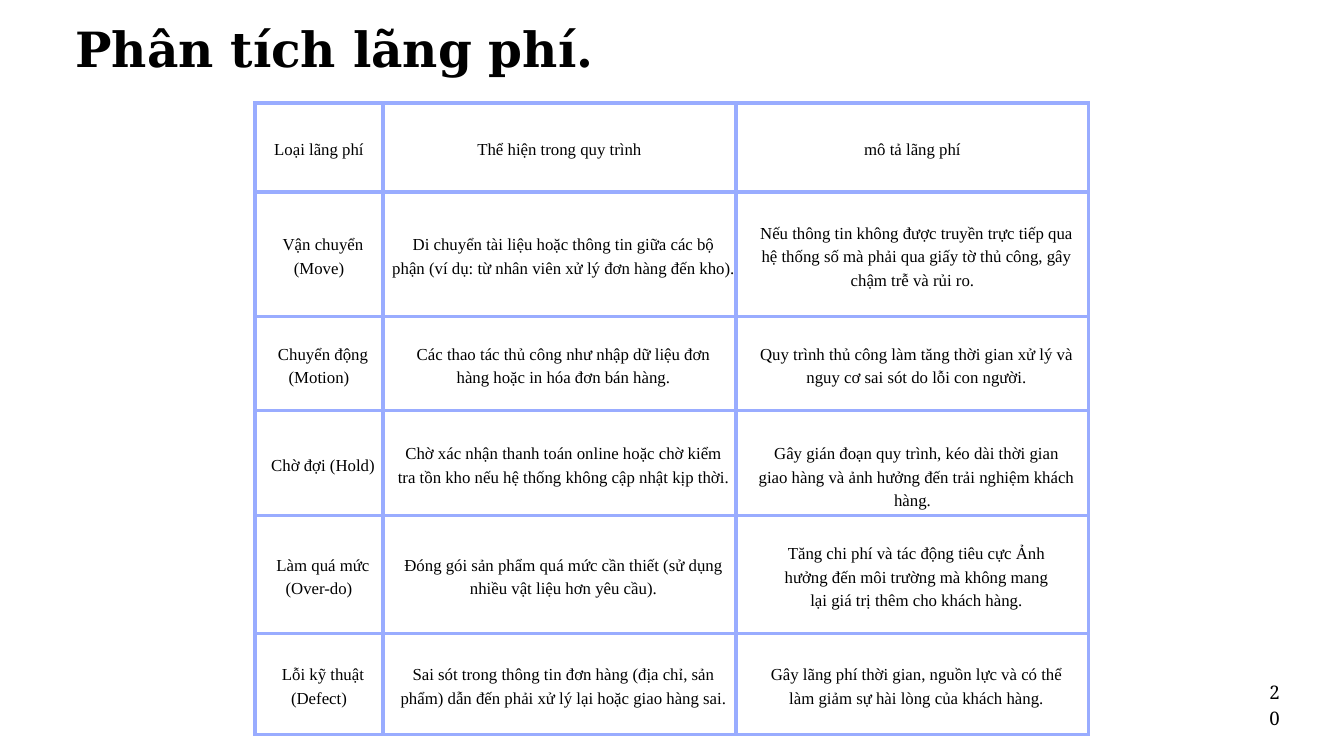
import dataclasses

import lxml.etree
import pptx
import pptx.dml.color
import pptx.enum.text
import pptx.oxml.ns
import pptx.util

EMU_PER_PX = 914400 / 67.2
COLUMN_WIDTHS = (128, 353, 353)
ROW_HEIGHTS = (89, 125, 94, 105, 118, 101)
LOWERED_CELL = (3, 2)

HEADERS = ("Loại lãng phí", "Thể hiện trong quy trình", "mô tả lãng phí")
WASTES = (
    (
        ("Vận chuyển (Move)",),
        ("Di chuyển tài liệu hoặc thông tin giữa các bộ",
         "phận (ví dụ: từ nhân viên xử lý đơn hàng đến kho)."),
        ("Nếu thông tin không được truyền trực tiếp qua",
         "hệ thống số mà phải qua giấy tờ thủ công, gây chậm trễ và rủi ro."),
    ),
    (
        ("Chuyển động (Motion)",),
        ("Các thao tác thủ công như nhập dữ liệu đơn",
         "hàng hoặc in hóa đơn bán hàng."),
        ("Quy trình thủ công làm tăng thời gian xử lý và",
         "nguy cơ sai sót do lỗi con người."),
    ),
    (
        ("Chờ đợi (Hold)",),
        ("Chờ xác nhận thanh toán online hoặc chờ kiểm",
         "tra tồn kho nếu hệ thống không cập nhật kịp thời."),
        ("Gây gián đoạn quy trình, kéo dài thời gian",
         "giao hàng và ảnh hưởng đến trải nghiệm khách hàng."),
    ),
    (
        ("Làm quá mức (Over-do)",),
        ("Đóng gói sản phẩm quá mức cần thiết (sử dụng",
         "nhiều vật liệu hơn yêu cầu)."),
        ("Tăng chi phí và tác động tiêu cực Ảnh",
         "hưởng đến môi trường mà không mang",
         "lại giá trị thêm cho khách hàng."),
    ),
    (
        ("Lỗi kỹ thuật (Defect)",),
        ("Sai sót trong thông tin đơn hàng (địa chỉ, sản",
         "phẩm) dẫn đến phải xử lý lại hoặc giao hàng sai."),
        ("Gây lãng phí thời gian, nguồn lực và có thể",
         "làm giảm sự hài lòng của khách hàng."),
    ),
)


@dataclasses.dataclass(frozen=True)
class TextStyle:
    """Font, size and line spacing of one kind of text."""

    font: str
    size: int
    leading: float
    bold: bool = False


@dataclasses.dataclass(frozen=True)
class Theme:
    """Colours and type styles of the slide."""

    ink: str = "000000"
    border: str = "99ACFF"
    border_width: float = 3.75
    title: TextStyle = TextStyle("DejaVu Serif", 52, 72.8, True)
    body: TextStyle = TextStyle("Times New Roman", 18, 25.2)
    number: TextStyle = TextStyle("Noto Serif", 20, 28)


THEME = Theme()


def px(length):
    """Turn a length in px into EMU."""
    return pptx.util.Emu(round(length * EMU_PER_PX))


def fill_paragraph(para, text, style, indent=0):
    """Write one centred run with an optional first-line indent."""
    para.alignment = pptx.enum.text.PP_ALIGN.CENTER
    para.line_spacing = pptx.util.Pt(style.leading)
    if indent:
        properties = para._p.get_or_add_pPr()
        properties.set("marL", "0")
        properties.set("indent", str(px(indent)))
    span = para.add_run()
    span.text = text
    span.font.name = style.font
    span.font.size = pptx.util.Pt(style.size)
    span.font.bold = style.bold
    span.font.color.rgb = pptx.dml.color.RGBColor.from_string(THEME.ink)


def clear_margins(holder):
    """Set all four text margins to zero."""
    holder.margin_left = holder.margin_right = 0
    holder.margin_top = holder.margin_bottom = 0


def add_text(page, left, top, width, height, text, style, wrap):
    """Add a one-paragraph text box that grows with its text."""
    box = page.shapes.add_textbox(px(left), px(top), px(width), px(height))
    frame = box.text_frame
    clear_margins(frame)
    frame.word_wrap = wrap
    frame.auto_size = pptx.enum.text.MSO_AUTO_SIZE.SHAPE_TO_FIT_TEXT
    fill_paragraph(frame.paragraphs[0], text, style)


def add_borders(cell):
    """Draw the four borders of a cell."""
    properties = cell._tc.get_or_add_tcPr()
    qn = pptx.oxml.ns.qn
    for position, side in enumerate(("lnL", "lnR", "lnT", "lnB")):
        width = str(pptx.util.Pt(THEME.border_width))
        line = lxml.etree.Element(qn(f"a:{side}"), w=width)
        fill = lxml.etree.SubElement(line, qn("a:solidFill"))
        lxml.etree.SubElement(fill, qn("a:srgbClr"), val=THEME.border)
        properties.insert(position, line)


def fill_cell(cell, lines, indent=0, drop=0):
    """Write the lines of a cell, lowered by an optional top margin."""
    clear_margins(cell)
    cell.margin_top = px(drop)
    cell.vertical_anchor = pptx.enum.text.MSO_ANCHOR.MIDDLE
    cell.fill.background()
    add_borders(cell)
    frame = cell.text_frame
    for index, line in enumerate(lines):
        para = frame.add_paragraph() if index else frame.paragraphs[0]
        fill_paragraph(para, line, THEME.body, indent)


def add_waste_table(page, left, top):
    """Add the table of waste types."""
    rows = [[(header,) for header in HEADERS], *WASTES]
    table = page.shapes.add_table(
        len(rows), len(HEADERS), px(left), px(top),
        px(sum(COLUMN_WIDTHS)), px(sum(ROW_HEIGHTS)),
    ).table
    table.first_row = table.horz_banding = False
    for column, width in zip(table.columns, COLUMN_WIDTHS):
        column.width = px(width)
    for row, height in zip(table.rows, ROW_HEIGHTS):
        row.height = px(height)
    for row_index, row in enumerate(rows):
        for column_index, lines in enumerate(row):
            place = (row_index, column_index)
            fill_cell(
                table.cell(*place), lines,
                indent=8 if row_index else 0,
                drop=23 if place == LOWERED_CELL else 0,
            )


def main():
    """Build and save the slide."""
    deck = pptx.Presentation()
    deck.slide_width, deck.slide_height = px(1344), px(756)
    page = deck.slides.add_slide(deck.slide_layouts[6])
    add_text(page, 75, 9, 519, 67, "Phân tích lãng phí.", THEME.title, False)
    add_waste_table(page, 255, 103)
    add_text(page, 1269, 677, 11, 15, "20", THEME.number, True)
    deck.save("out.pptx")


if __name__ == "__main__":
    main()
